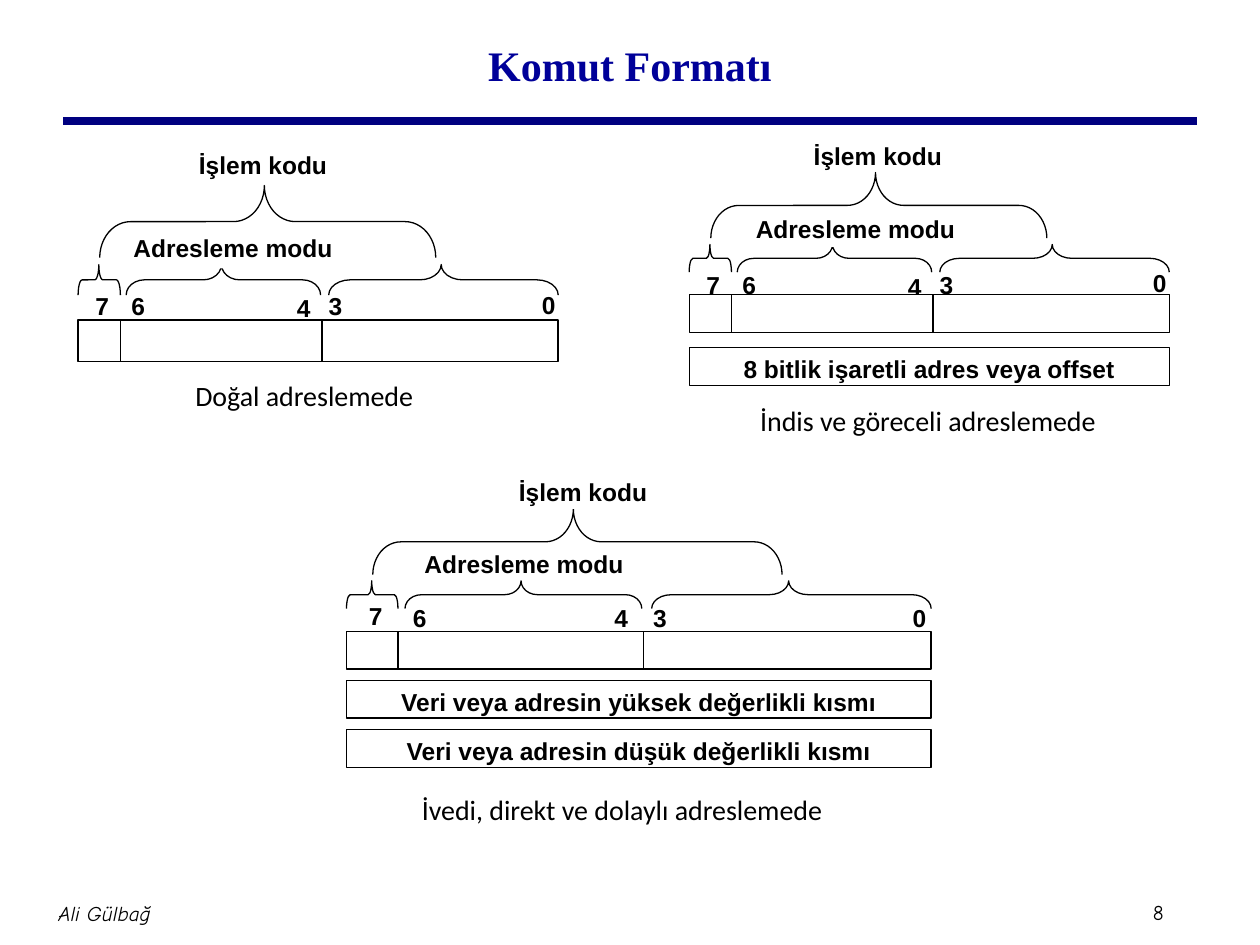
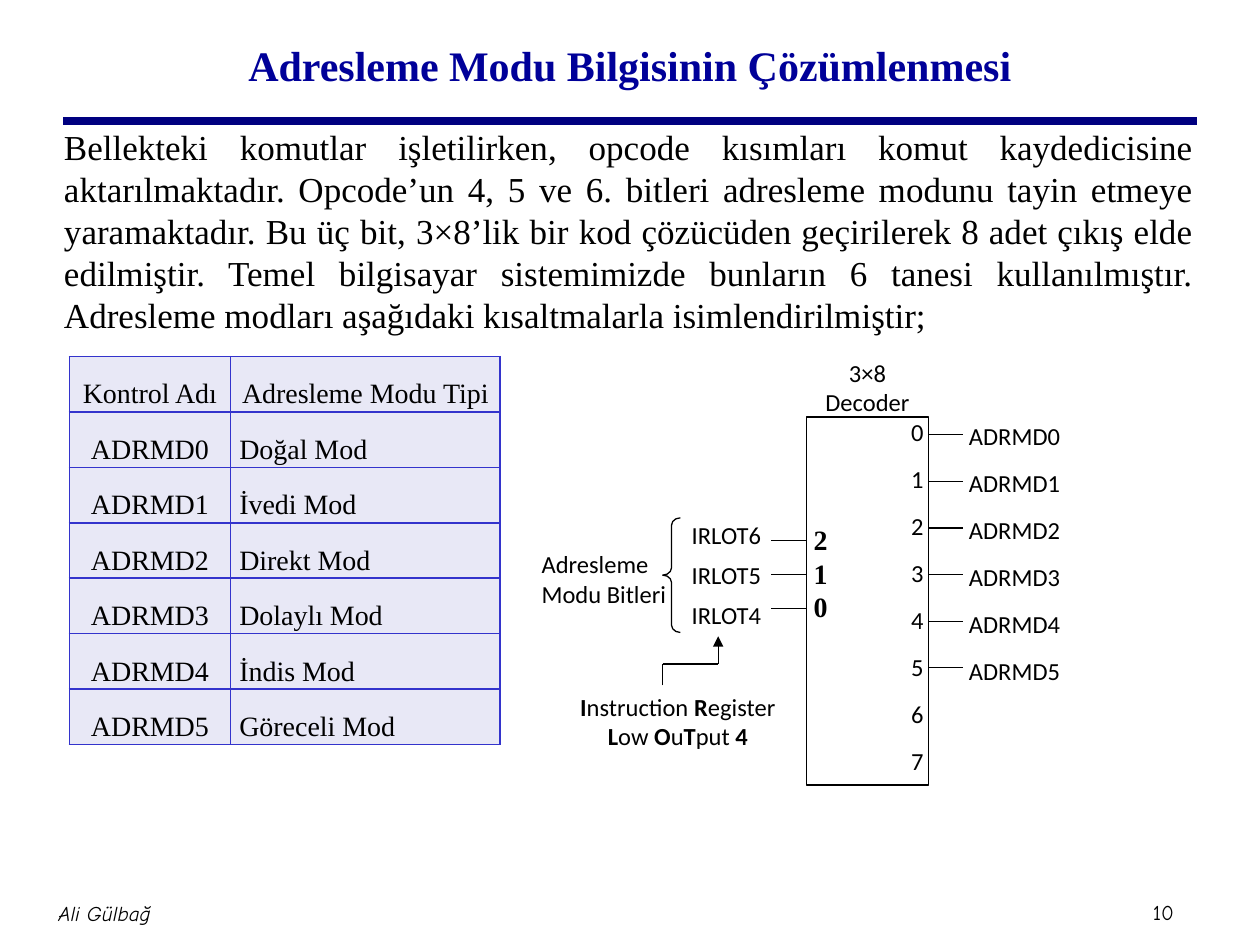
"""Build two slides on instruction formats and addressing mode decoding."""
from itertools import pairwise

from lxml.etree import SubElement
from pptx import Presentation
from pptx.dml.color import RGBColor
from pptx.enum.shapes import MSO_CONNECTOR as CONNECTOR, MSO_SHAPE as SHAPE
from pptx.enum.text import MSO_ANCHOR as ANCHOR, PP_ALIGN as ALIGN
from pptx.oxml import parse_xml
from pptx.oxml.ns import nsdecls, qn
from pptx.util import Inches, Pt

COLORS = {
    "ink": "000000",
    "paper": "FFFFFF",
    "title": "000099",
    "rule": "000080",
    "cell": "E8E8F6",
    "grid": "3333CC",
}
SERIF, SANS, BODY, HAND = "Times New Roman", "Arial", "Calibri", "Comic Neue"
DEFAULT_INSETS = (0.1, 0.05, 0.1, 0.05)
DIGITS = (("7", 0), ("6", 0.075), ("4", 0.42), ("3", 0.486), ("0", 0.93))
DIVIDERS = (0.088, 0.508)
FIELD_BRACES = ((0, 0.088, 0.131), (0.1, 0.505, 0.595), (0.522, 1, 0.702))
OPCODE_BRACE = (0.045, 0.745, 0.427)
MODES = ("Doğal", "İvedi", "Direkt", "Dolaylı", "İndis", "Göreceli")


def color(name):
    """Return a palette colour."""
    return RGBColor.from_string(COLORS[name])


def style(paragraph, font, size, align=ALIGN.LEFT, bold=False, italic=False, ink="ink", after=0):
    """Set the look of a whole paragraph."""
    paragraph.alignment = align
    paragraph.space_after = Pt(after)
    paragraph.font.name = font
    paragraph.font.size = Pt(size)
    paragraph.font.bold = bold
    paragraph.font.italic = italic
    paragraph.font.color.rgb = color(ink)


def set_frame(frame, insets=DEFAULT_INSETS, anchor=ANCHOR.TOP, wrap=True):
    """Set margins, anchor and wrapping of a text frame."""
    frame.margin_left, frame.margin_top, frame.margin_right, frame.margin_bottom = map(Inches, insets)
    frame.vertical_anchor = anchor
    frame.word_wrap = wrap


def add_text(slide, text, box, font, size, insets=DEFAULT_INSETS, anchor=ANCHOR.TOP, wrap=True, **look):
    """Add a text box and return its text frame."""
    frame = slide.shapes.add_textbox(*map(Inches, box)).text_frame
    set_frame(frame, insets, anchor, wrap)
    frame.text = text
    for paragraph in frame.paragraphs:
        style(paragraph, font, size, **look)
    return frame


def add_outline(slide, kind, box, fill=None, line="ink"):
    """Add a preset shape with a thin outline or none."""
    shape = slide.shapes.add_shape(kind, *map(Inches, box))
    shape.shadow.inherit = False
    if fill:
        shape.fill.solid()
        shape.fill.fore_color.rgb = color(fill)
    else:
        shape.fill.background()
    if line:
        shape.line.color.rgb = color(line)
        shape.line.width = Pt(0.75)
    else:
        shape.line.fill.background()
    return shape


def add_label(slide, text, box, align=ALIGN.LEFT, line=None):
    """Add a white rectangle with bold text."""
    shape = add_outline(slide, SHAPE.RECTANGLE, box, "paper", line)
    set_frame(shape.text_frame)
    shape.text_frame.text = text
    style(shape.text_frame.paragraphs[0], SANS, 14, align, bold=True)


def add_line(slide, start, end, width=0.75, ink="ink", arrow=False):
    """Add a straight line, with an arrowhead at its end on request."""
    line = slide.shapes.add_connector(CONNECTOR.STRAIGHT, *map(Inches, (*start, *end)))
    line.line.color.rgb = color(ink)
    line.line.width = Pt(width)
    if arrow:
        SubElement(line.line._get_or_add_ln(), qn("a:tailEnd"), type="triangle")
    SubElement(line._element.spPr, qn("a:effectLst"))


def add_top_brace(slide, left, right, top, height, curve):
    """Add a brace that lies above a span and points up."""
    width = right - left
    box = ((left + right - height) / 2, top + (height - width) / 2, height, width)
    brace = add_outline(slide, SHAPE.LEFT_BRACE, box)
    brace.rotation = 90
    brace.adjustments[0], brace.adjustments[1] = curve, 0.51


def add_slide(presentation, title, number):
    """Add a slide with title, rule and footer."""
    slide = presentation.slides.add_slide(presentation.slide_layouts[6])
    small = (0.05,) * 4
    add_line(slide, (0.5, 0.96), (9.5, 0.96), 4.5, "rule")
    add_text(slide, str(number), (9.1, 7.09, 0.47, 0.3), HAND, 12, small, ANCHOR.MIDDLE)
    add_text(slide, "Ali Gülbağ", (0, 7, 1.66, 0.5), HAND, 12, small, ANCHOR.MIDDLE,
             align=ALIGN.CENTER, italic=True)
    add_text(slide, title, (0.75, 0.08, 8.5, 0.86), SERIF, 24, anchor=ANCHOR.MIDDLE,
             align=ALIGN.CENTER, bold=True, ink="title")
    return slide


def add_format(slide, left, top, width, height, lifts, opcode_box, mode_box, operands=(), pitch=0):
    """Draw an instruction byte with bit numbers, braces and operand bytes."""
    def at(share):
        return left + share * width

    scale = height / 0.3
    for row, operand in enumerate(operands, 1):
        add_label(slide, operand, (left, top + row * pitch, width, height), ALIGN.CENTER, "ink")
    for (digit, share), lift in zip(DIGITS, lifts):
        add_label(slide, digit, (at(share), top - lift, 0.1 * width, 0.33 * scale), ALIGN.CENTER)
    add_outline(slide, SHAPE.RECTANGLE, (left, top, width, height), "paper")
    for share in DIVIDERS:
        add_line(slide, (at(share), top), (at(share), top + height))
    for start, end, curve in FIELD_BRACES:
        add_top_brace(slide, at(start), at(end), top - 0.4 * scale, 0.22 * scale, curve)
    start, end, curve = OPCODE_BRACE
    add_top_brace(slide, at(start), at(end), top - 0.97 * scale, 0.52 * scale, curve)
    add_label(slide, "İşlem kodu", opcode_box)
    add_label(slide, "Adresleme modu", mode_box)


def add_mode_table(slide, rows):
    """Add the table of control names and addressing modes."""
    table = slide.shapes.add_table(len(rows), 2, *map(Inches, (0.55, 2.83, 3.42, 2.87))).table
    table.first_row = table.horz_banding = False
    table.columns[0].width, table.columns[1].width = Inches(1.28), Inches(2.14)
    for row, texts in enumerate(rows):
        for column, text in enumerate(texts):
            cell = table.cell(row, column)
            cell.text = text
            cell.margin_left = cell.margin_right = Inches(0.07)
            cell.margin_top, cell.margin_bottom = Inches(0.04), 0
            cell.vertical_anchor = ANCHOR.MIDDLE
            cell.fill.solid()
            cell.fill.fore_color.rgb = color("cell")
            paragraph = cell.text_frame.paragraphs[0]
            style(paragraph, SERIF, 16, ALIGN.LEFT if row and column else ALIGN.CENTER)
            paragraph.line_spacing = 1.5
            add_borders(cell)


def add_borders(cell):
    """Give a cell four thin borders."""
    properties = cell._tc.get_or_add_tcPr()
    for index, side in enumerate("LRTB"):
        properties.insert(index, parse_xml(
            f'<a:ln{side} {nsdecls("a")} w="12700"><a:solidFill>'
            f'<a:srgbClr val="{COLORS["grid"]}"/></a:solidFill></a:ln{side}>'))


def add_decoder(slide, names):
    """Draw the decoder with its inputs, outputs and explanations."""
    left, right = 6.4, 7.37
    decoder = add_outline(slide, SHAPE.RECTANGLE, (left, 3.31, right - left, 2.92))
    set_frame(decoder.text_frame, (0, 0, 0.04, 0))
    decoder.text_frame.text = "\n".join(map(str, range(8)))
    for paragraph in decoder.text_frame.paragraphs:
        style(paragraph, BODY, 14, ALIGN.RIGHT, after=10)
    for index in range(3):
        y = 4.29 + 0.27 * index
        add_line(slide, (left, y), (6.12, y))
    for index in range(len(names)):
        y = 3.45 + 0.37 * index
        add_line(slide, (7.64, y), (right, y))
    add_text(slide, "3×8\vDecoder", (6.26, 2.79, 1.25, 0.46), BODY, 14, align=ALIGN.CENTER, after=10)
    add_text(slide, "IRLOT6\nIRLOT5\nIRLOT4", (5.49, 4.13, 0.77, 1.09), BODY, 14, (0,) * 4, after=6)
    add_text(slide, "\n".join(names), (7.64, 3.34, 1.11, 2.21), BODY, 14, (0.05, 0, 0, 0), after=10)
    brace = add_outline(slide, SHAPE.LEFT_BRACE, (5.26, 4.11, 0.14, 0.91))
    brace.adjustments[0] = 0.417
    add_text(slide, "Adresleme Modu Bitleri", (4.2, 4.31, 1.25, 0.73), BODY, 14, after=10)
    add_register_name(slide)
    corners = ((5.26, 5.44), (5.26, 5.27), (5.7, 5.27), (5.7, 5.05))
    for start, end in pairwise(corners):
        add_line(slide, start, end, arrow=end == corners[-1])
    add_text(slide, "2\n1\n0", (6.36, 4.1, 0.31, 0.91), SERIF, 16, wrap=False, bold=True)


def add_register_name(slide):
    """Spell out the register name with its initials in bold."""
    frame = add_text(slide, "", (4.5, 5.44, 1.76, 1.08), BODY, 14, align=ALIGN.CENTER, after=10)
    parts = ("I", "nstruction ", "R", "egister ", "L", "ow ", "O", "u", "T", "put ", "4")
    for index, part in enumerate(parts):
        run = frame.paragraphs[0].add_run()
        run.text = part
        run.font.bold = index % 2 == 0


def build_format_slide(presentation):
    """Build the slide with the three instruction formats."""
    slide = add_slide(presentation, "Komut Formatı", 8)
    add_format(slide, 0.62, 2.54, 3.81, 0.33, (0.28, 0.28, 0.26, 0.28, 0.29),
               (1.48, 1.14, 1.52, 0.32), (0.96, 1.8, 2.12, 0.33))
    add_format(slide, 5.47, 2.34, 3.81, 0.3, (0.25, 0.25, 0.23, 0.25, 0.26),
               (6.36, 1.07, 1.55, 0.29), (5.9, 1.65, 2.16, 0.31),
               ("8 bitlik işaretli adres veya offset",), 0.42)
    add_format(slide, 2.75, 5.01, 4.64, 0.3, (0.29, 0.27, 0.27, 0.27, 0.27),
               (4.02, 3.74, 1.28, 0.3), (3.27, 4.31, 2.09, 0.29),
               ("Veri veya adresin yüksek değerlikli kısmı",
                "Veri veya adresin düşük değerlikli kısmı"), 0.39)
    captions = (
        ("Doğal adreslemede", (-0.09, 2.95, 5.01, 0.37), ALIGN.CENTER),
        ("İndis ve göreceli adreslemede", (5.12, 3.15, 4.49, 0.37), ALIGN.CENTER),
        ("İvedi, direkt ve dolaylı adreslemede", (3.25, 6.24, 4.44, 0.37), ALIGN.LEFT),
    )
    for text, box, align in captions:
        add_text(slide, text, box, BODY, 16, anchor=ANCHOR.MIDDLE, align=align)


def build_decoding_slide(presentation):
    """Build the slide on decoding the addressing mode."""
    slide = add_slide(presentation, "Adresleme Modu Bilgisinin Çözümlenmesi", 10)
    body = add_text(
        slide,
        "Bellekteki komutlar işletilirken, opcode kısımları komut kaydedicisine aktarılmaktadır. "
        "Opcode’un 4, 5 ve 6. bitleri adresleme modunu tayin etmeye yaramaktadır. Bu üç bit, "
        "3×8’lik bir kod çözücüden geçirilerek 8 adet çıkış elde edilmiştir. Temel bilgisayar "
        "sistemimizde bunların 6 tanesi kullanılmıştır. Adresleme modları aşağıdaki "
        "kısaltmalarla isimlendirilmiştir;",
        (0.41, 0.95, 9.16, 1.86), SERIF, 20, align=ALIGN.JUSTIFY)
    body.paragraphs[0].space_before = Pt(4)
    names = [f"ADRMD{index}" for index in range(len(MODES))]
    rows = [(name, f"{mode} Mod") for name, mode in zip(names, MODES)]
    add_mode_table(slide, [("Kontrol Adı", "Adresleme Modu Tipi"), *rows])
    add_decoder(slide, names)


def main():
    """Create and save the presentation."""
    presentation = Presentation()
    presentation.slide_width, presentation.slide_height = Inches(10), Inches(7.5)
    build_format_slide(presentation)
    build_decoding_slide(presentation)
    presentation.save("out.pptx")


main()
